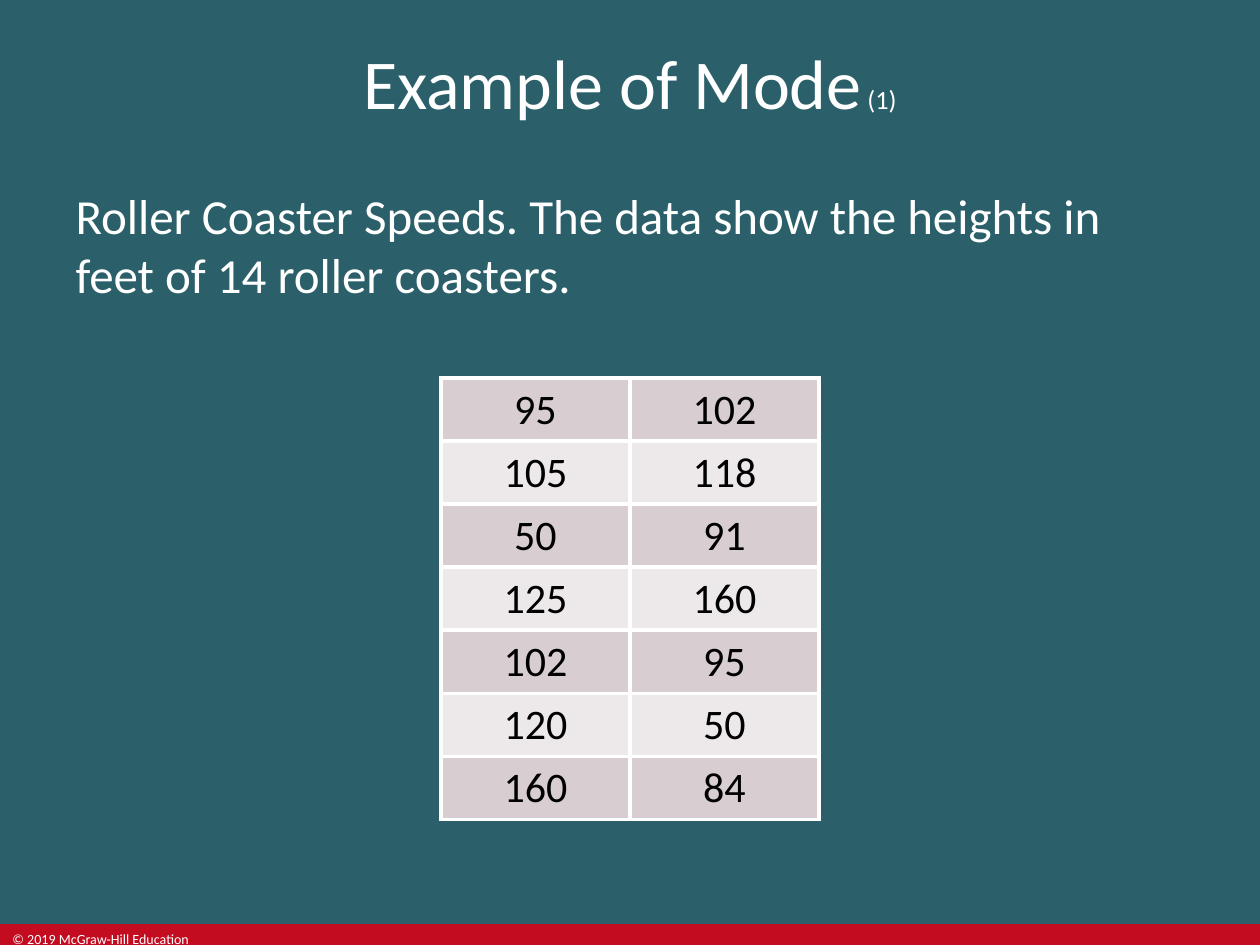
from lxml.etree import SubElement
from pptx import Presentation
from pptx.dml.color import RGBColor
from pptx.enum.shapes import MSO_SHAPE
from pptx.enum.text import MSO_ANCHOR, MSO_AUTO_SIZE, PP_ALIGN
from pptx.oxml.ns import qn
from pptx.util import Pt

TEAL = RGBColor(0x2B, 0x60, 0x6A)
RED = RGBColor(0xC3, 0x0C, 0x20)
WHITE = RGBColor(0xFF, 0xFF, 0xFF)
BLACK = RGBColor(0, 0, 0)
ROW_FILLS = (RGBColor(0xD8, 0xCD, 0xD1), RGBColor(0xED, 0xE8, 0xE9))

FONT = "Calibri"
SLIDE_W, SLIDE_H = 720, 540
BAND_H = 12
HEIGHTS = [(95, 102), (105, 118), (50, 91), (125, 160),
           (102, 95), (120, 50), (160, 84)]


def place(shape, left, top, width, height):
    shape.left, shape.top = Pt(left), Pt(top)
    shape.width, shape.height = Pt(width), Pt(height)


def add_run(paragraph, text, size, color=WHITE):
    run = paragraph.add_run()
    run.text = text
    run.font.name = FONT
    run.font.size = Pt(size)
    run.font.color.rgb = color


def add_footer(slide):
    top = SLIDE_H - BAND_H
    band = slide.shapes.add_shape(
        MSO_SHAPE.RECTANGLE, 0, Pt(top), Pt(SLIDE_W), Pt(BAND_H))
    band.shadow.inherit = False
    band.fill.solid()
    band.fill.fore_color.rgb = RED
    band.line.fill.background()

    copyright_box = slide.shapes.add_textbox(0, Pt(top), Pt(122.4), Pt(BAND_H))
    frame = copyright_box.text_frame
    frame.word_wrap = True
    add_run(frame.paragraphs[0], "© 2019 McGraw-Hill Education", 8)


def fill_title(title):
    place(title, 0, 0, SLIDE_W, 93.6)
    frame = title.text_frame
    frame.auto_size = MSO_AUTO_SIZE.NONE
    frame.vertical_anchor = MSO_ANCHOR.MIDDLE
    heading = frame.paragraphs[0]
    heading.alignment = PP_ALIGN.CENTER
    add_run(heading, "Example of Mode", 40)
    add_run(heading, " (1)", 15)


def fill_body(body):
    place(body, 36, 102.24, 648, 414)
    frame = body.text_frame
    frame.auto_size = MSO_AUTO_SIZE.NONE
    intro = frame.paragraphs[0]
    # Plain paragraph without bullet or hanging indent
    properties = intro._p.get_or_add_pPr()
    properties.set("marL", "0")
    properties.set("indent", "0")
    SubElement(properties, qn("a:buNone"))
    intro.space_before = Pt(0)
    add_run(intro, "Roller Coaster Speeds. The data show the heights in "
                   "feet of 14 roller coasters.", 28)


def add_borders(cell, color, width):
    properties = cell._tc.get_or_add_tcPr()
    for index, side in enumerate(("a:lnL", "a:lnR", "a:lnT", "a:lnB")):
        border = properties.makeelement(qn(side), {"w": str(Pt(width))})
        solid = SubElement(border, qn("a:solidFill"))
        SubElement(solid, qn("a:srgbClr"), val=str(color))
        properties.insert(index, border)


def add_heights_table(slide):
    rows, columns = len(HEIGHTS), len(HEIGHTS[0])
    table = slide.shapes.add_table(
        rows, columns, Pt(252), Pt(216), Pt(108 * columns), Pt(36 * rows)).table
    table.first_row = False
    for r, values in enumerate(HEIGHTS):
        for c, height in enumerate(values):
            cell = table.cell(r, c)
            cell.fill.solid()
            cell.fill.fore_color.rgb = ROW_FILLS[r % 2]
            cell.vertical_anchor = MSO_ANCHOR.MIDDLE
            add_borders(cell, WHITE, 2.25)
            entry = cell.text_frame.paragraphs[0]
            entry.alignment = PP_ALIGN.CENTER
            add_run(entry, str(height), 24, BLACK)


def main():
    deck = Presentation()
    deck.slide_width, deck.slide_height = Pt(SLIDE_W), Pt(SLIDE_H)
    slide = deck.slides.add_slide(deck.slide_layouts[1])
    slide.background.fill.solid()
    slide.background.fill.fore_color.rgb = TEAL

    # Footer band and copyright
    add_footer(slide)
    # Heading and introduction
    fill_title(slide.shapes.title)
    fill_body(slide.placeholders[1])
    # Roller coaster heights
    add_heights_table(slide)

    deck.save("out.pptx")


if __name__ == "__main__":
    main()
